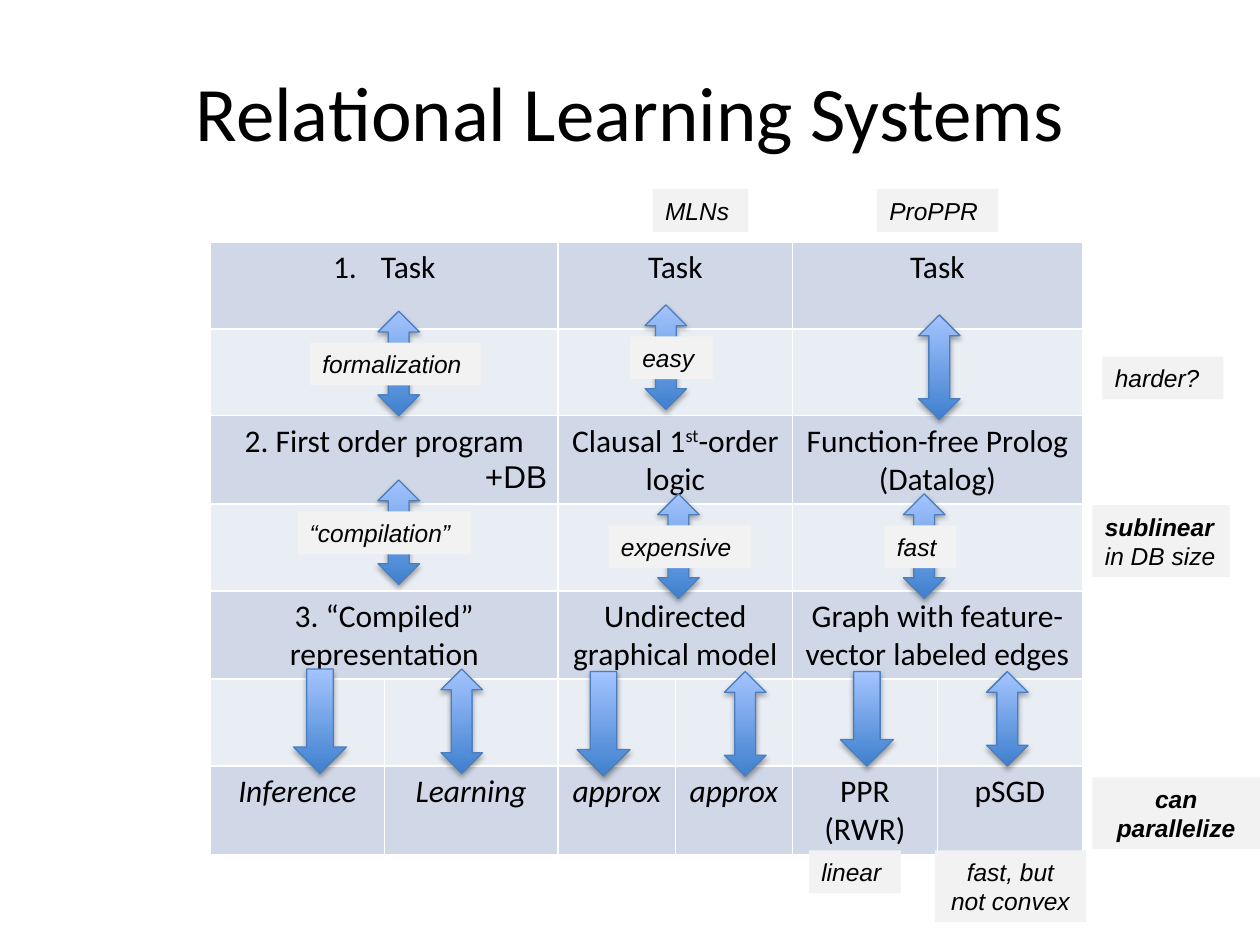
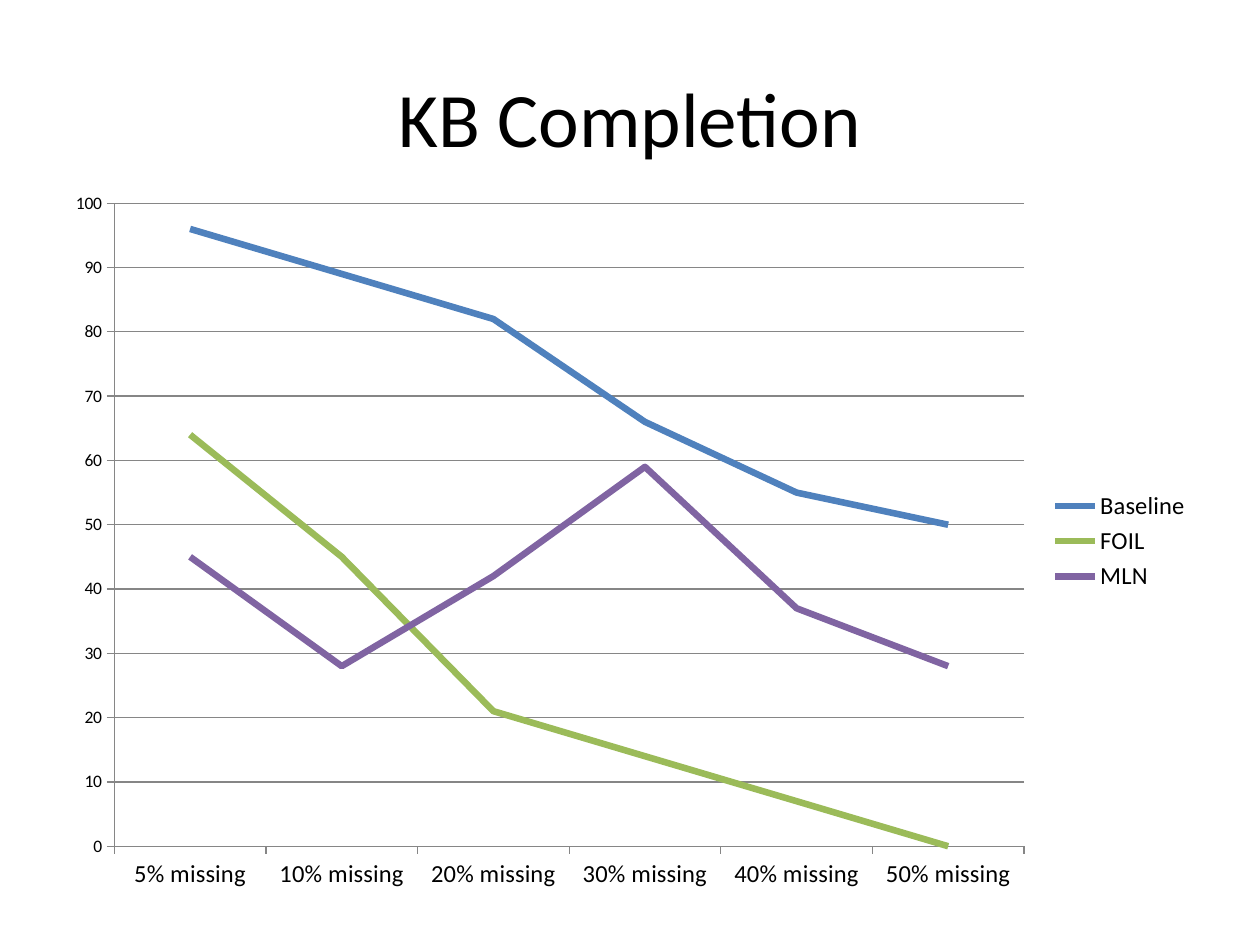
from lxml import etree
from pptx import Presentation
from pptx.chart.data import CategoryChartData
from pptx.dml.color import RGBColor
from pptx.enum.chart import XL_CHART_TYPE, XL_LEGEND_POSITION, XL_TICK_MARK
from pptx.enum.shapes import MSO_SHAPE
from pptx.enum.text import MSO_ANCHOR, PP_ALIGN
from pptx.oxml import parse_xml
from pptx.oxml.ns import nsdecls, qn
from pptx.util import Inches, Pt

LEFT, CENTER = PP_ALIGN.LEFT, PP_ALIGN.CENTER
MIDDLE = MSO_ANCHOR.MIDDLE
RECT, DOWN, BOTH = MSO_SHAPE.RECTANGLE, MSO_SHAPE.DOWN_ARROW, MSO_SHAPE.UP_DOWN_ARROW
LINE, RIGHT, OUT = XL_CHART_TYPE.LINE, XL_LEGEND_POSITION.RIGHT, XL_TICK_MARK.OUTSIDE

HEX = {
    "text": "000000", "rule": "FFFFFF", "dark": "D0D8E8", "light": "E9EDF4",
    "label": "F2F2F2", "low": "3F80CE", "high": "A4C4FF", "edge": "4B7EBC",
    "axis": "868686", "Baseline": "4F81BD", "FOIL": "9BBB59", "MLN": "8064A2",
}
RGB = {name: RGBColor.from_string(code) for name, code in HEX.items()}
HEAD, BODY = "Calibri", "Arial"


def write(para, text, size, face, bold=False, italic=False):
    """Add one styled run to a paragraph."""
    run = para.add_run()
    run.text = text
    font = run.font
    font.size, font.name = Pt(size), face
    font.bold, font.italic = bold, italic
    font.color.rgb = RGB["text"]
    return run


prs = Presentation()
prs.slide_width, prs.slide_height = Inches(10), Inches(7.5)
blank = prs.slide_layouts[6]

pages = []
for title, top in (("Relational Learning Systems", 0.25), ("KB Completion", 0.3)):
    page = prs.slides.add_slide(blank)
    frame = page.shapes.add_textbox(Inches(0.5), Inches(top), Inches(9), Inches(1.25)).text_frame
    frame.word_wrap, frame.vertical_anchor = True, MIDDLE
    frame.paragraphs[0].alignment = CENTER
    write(frame.paragraphs[0], title, 44, HEAD)
    pages.append(page)
systems, results = pages

# Table of systems: upper rows join their columns in pairs
widths = [1.38, 1.38, 0.93, 0.93, 1.15, 1.15]
heights = [0.69, 0.69, 0.7, 0.69, 0.7, 0.69, 0.7]
cells = {
    0: ["Task", "Task", "Task"],
    2: ["2. First order program", "Clausal 1|st|-order logic", "Function-free Prolog (Datalog)"],
    4: ["3. “Compiled” representation", "Undirected graphical model",
        "Graph with feature-vector labeled edges"],
    6: ["Inference", "Learning", "approx", "approx", "PPR (RWR)", "pSGD"],
}
table = systems.shapes.add_table(
    len(heights), len(widths), Inches(1.67), Inches(1.92),
    Inches(sum(widths)), Inches(sum(heights))).table
table.first_row = table.horz_banding = False
for col, width in zip(table.columns, widths):
    col.width = Inches(width)
for row, height in enumerate(heights):
    table.rows[row].height = Inches(height)
    for col in range(len(widths)):
        cell = table.cell(row, col)
        props = cell._tc.get_or_add_tcPr()
        for side in ("lnL", "lnR", "lnT", "lnB"):
            props.append(parse_xml(
                f'<a:{side} {nsdecls("a")} w="12700"><a:solidFill>'
                f'<a:srgbClr val="{HEX["rule"]}"/></a:solidFill></a:{side}>'))
        cell.fill.solid()
        cell.fill.fore_color.rgb = RGB["light" if row % 2 else "dark"]
    step = 2 if row < 5 else 1
    if step == 2:
        for col in range(0, len(widths), 2):
            table.cell(row, col).merge(table.cell(row, col + 1))
    for idx, text in enumerate(cells.get(row, [])):
        para = table.cell(row, idx * step).text_frame.paragraphs[0]
        para.alignment = CENTER
        for part, piece in enumerate(text.split("|")):
            run = write(para, piece, 18, HEAD, italic=row == 6 and idx < 4)
            if part == 1:
                run.font._element.set("baseline", "30000")

task = table.cell(0, 0).text_frame.paragraphs[0]._p.get_or_add_pPr()
task.set("marL", str(Inches(0.38)))
task.set("indent", str(Inches(-0.38)))
etree.SubElement(task, qn("a:buAutoNum"), type="arabicPeriod")

# Arrows between the rows: shape, left, top, width, height
arrows = [(BOTH, x, y, 0.33, 0.83) for x, y in (
    (3, 2.47), (3, 3.81), (3.5, 5.31), (5.75, 5.33), (5.12, 2.42),
    (5.22, 3.92), (7.17, 3.92), (7.29, 2.5))]
arrows += [(DOWN, 2.33, 5.31, 0.42, 0.83), (DOWN, 4.58, 5.33, 0.42, 0.83),
           (DOWN, 6.67, 5.33, 0.42, 0.75), (BOTH, 7.83, 5.33, 0.33, 0.75)]
for kind, *place in arrows:
    arrow = systems.shapes.add_shape(kind, *map(Inches, place))
    arrow.fill.gradient()
    arrow.fill.gradient_angle = 90
    for stop, name, spot in zip(arrow.fill.gradient_stops, ("low", "high"), (0, 1)):
        stop.color.rgb, stop.position = RGB[name], spot
    arrow.line.color.rgb, arrow.line.width = RGB["edge"], Pt(0.75)
    arrow.shadow.inherit = False
    glow = arrow._element.spPr.find(qn("a:effectLst"))
    glow.append(parse_xml(
        f'<a:outerShdw {nsdecls("a")} blurRad="{Pt(3.1)}" dist="{Pt(1.8)}" dir="5400000" '
        'rotWithShape="0"><a:srgbClr val="000000"><a:alpha val="35000"/>'
        '</a:srgbClr></a:outerShdw>'))

# Grey labels: left, top, width, height, alignment, lines of runs
one, two = 0.34, 0.57
strong = {"sublinear", "can parallelize"}
labels = [
    (2.36, 4.06, 1.38, one, LEFT, [["“compilation”"]]),
    (2.46, 2.72, 1.36, one, LEFT, [["formalization"]]),
    (5.18, 1.5, 0.76, one, LEFT, [["MLNs"]]),
    (5, 2.67, 0.66, one, LEFT, [["easy"]]),
    (4.83, 4.17, 1.13, one, LEFT, [["expensive"]]),
    (7.02, 4.17, 0.57, one, LEFT, [["fast"]]),
    (8.75, 2.83, 0.96, one, LEFT, [["harder?"]]),
    (6.42, 6.75, 0.73, one, LEFT, [["linear"]]),
    (7.42, 6.75, 1.2, two, CENTER, [["fast, but"], ["not convex"]]),
    (8.67, 4.01, 1.09, two, LEFT, [["sublinear", " in DB size"]]),
    (6.96, 1.5, 0.96, one, LEFT, [["ProPPR"]]),
    (8.67, 6.17, 1.33, two, CENTER, [["can parallelize"]]),
]
for *place, align, lines in labels:
    label = systems.shapes.add_shape(RECT, *map(Inches, place))
    label.shadow.inherit = False
    label.fill.solid()
    label.fill.fore_color.rgb = RGB["label"]
    label.line.fill.background()
    frame = label.text_frame
    frame.word_wrap, frame.vertical_anchor = True, MIDDLE
    for idx, line in enumerate(lines):
        para = frame.add_paragraph() if idx else frame.paragraphs[0]
        para.alignment = align
        for text in line:
            write(para, text, 14, BODY, bold=text in strong, italic=True)

note = systems.shapes.add_textbox(Inches(3.75), Inches(3.58), Inches(0.72), Inches(0.4))
note.text_frame.word_wrap = True
write(note.text_frame.paragraphs[0], "+DB", 18, BODY)

# Line chart of results
data = CategoryChartData()
data.categories = [f"{share}% missing" for share in (5, 10, 20, 30, 40, 50)]
data.add_series("Baseline", (96, 89, 82, 66, 55, 50))
data.add_series("FOIL", (64, 45, 21, 14, 7, 0))
data.add_series("MLN", (45, 28, 42, 59, 37, 28))
chart = results.shapes.add_chart(
    LINE, Inches(0.42), Inches(1.42), Inches(9.13), Inches(5.75), data).chart
chart.has_title = False
chart.font.name, chart.font.size = HEAD, Pt(10)
chart.font.color.rgb = RGB["text"]
chart.has_legend = True
chart.legend.position, chart.legend.include_in_layout = RIGHT, False
chart.legend.font.size = Pt(14)
chart.plots[0].vary_by_categories = False
for series in chart.plots[0].series:
    series.smooth = False
    series.format.line.color.rgb = RGB[series.name]
    series.format.line.width = Pt(3.75)

across, up = chart.category_axis, chart.value_axis
across.tick_labels.font.size = Pt(14)
up.minimum_scale, up.maximum_scale, up.major_unit = 0, 100, 10
up.has_major_gridlines = True
for axis in (across, up):
    axis.major_tick_mark = OUT
for part in (across, up, up.major_gridlines):
    part.format.line.color.rgb = RGB["axis"]
    part.format.line.width = Pt(0.75)

prs.save("out.pptx")
